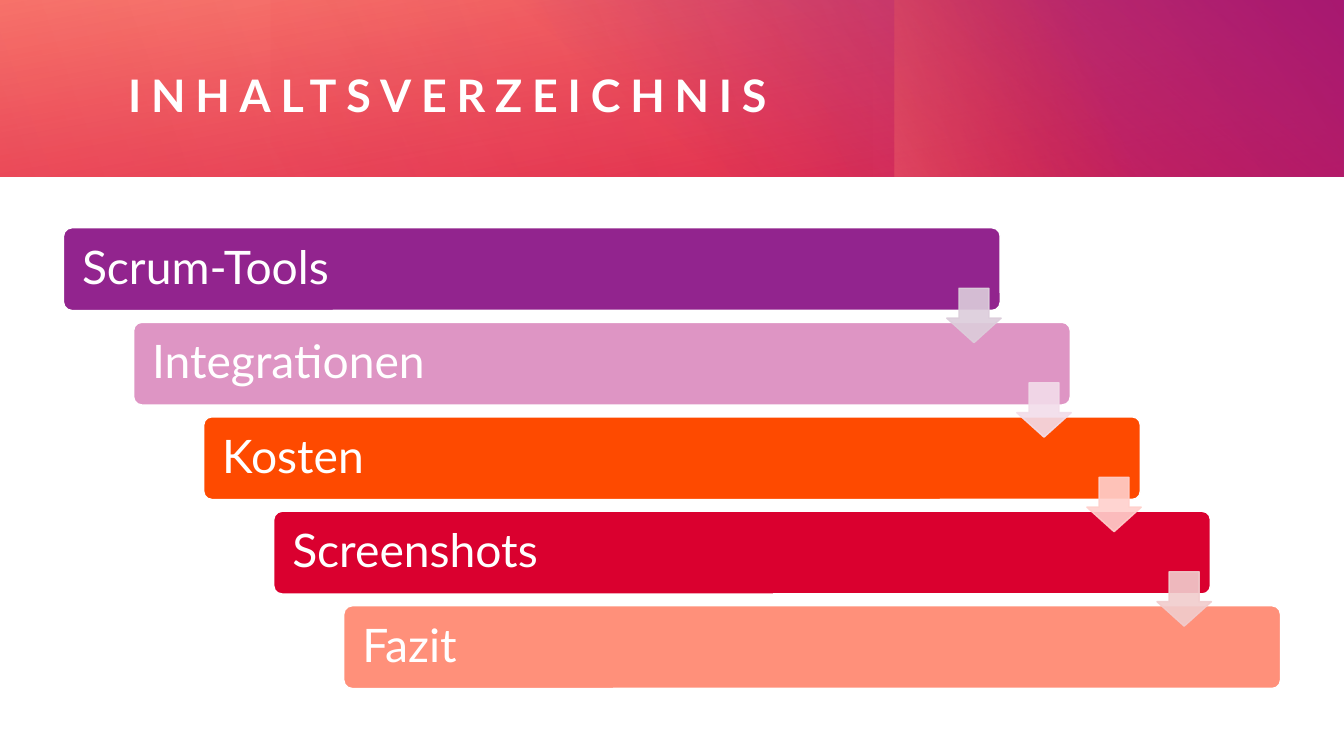
from collections import namedtuple
from dataclasses import dataclass

from lxml.etree import SubElement
from pptx import Presentation
from pptx.dml.color import RGBColor
from pptx.enum.shapes import MSO_SHAPE as Preset
from pptx.enum.text import MSO_ANCHOR as Anchor, PP_ALIGN as Align
from pptx.oxml.ns import qn
from pptx.util import Emu, Pt

PX = 9144  # 100 px to the inch
Box = namedtuple("Box", "left top width height")
Step = namedtuple("Step", "text color arrow")


@dataclass(frozen=True)
class Theme:
    font: str = "Lato"
    title_size: int = 32
    step_size: int = 33
    title_spacing: int = 700  # hundredths of a point
    white: str = "FFFFFF"
    purple: str = "92248E"
    pink: str = "DE95C4"
    orange: str = "FE4A00"
    red: str = "DA002F"
    coral: str = "FF907A"


THEME = Theme()
STEPS = [
    Step("Scrum-Tools", THEME.purple, "DCCDDB"),
    Step("Integrationen", THEME.pink, "F2DDEA"),
    Step("Kosten", THEME.orange, "FFD0CC"),
    Step("Screenshots", THEME.red, "F1CCCD"),
    Step("Fazit", THEME.coral, None),
]


def to_emu(px):
    return Emu(round(px * PX))


def rgb(color):
    return RGBColor.from_string(color)


def add_alpha(color_element, percent):
    SubElement(color_element, qn("a:alpha"), val=str(percent * 1000))


def add_preset(slide, preset, box):
    shape = slide.shapes.add_shape(preset, *map(to_emu, box))
    shape.shadow.inherit = False
    return shape


def add_run(paragraph, text, size, bold=False):
    run = paragraph.add_run()
    run.text = text
    run.font.name = THEME.font
    run.font.size = Pt(size)
    run.font.bold = bold
    run.font.color.rgb = rgb(THEME.white)
    return run


def set_margins(frame, side):
    frame.margin_left = frame.margin_right = to_emu(side)
    frame.margin_top = frame.margin_bottom = 0


def add_gradient(slide, box, stops, angle, rotation=0):
    """Rectangle with stops of (position, color, opacity), all in percent."""
    shape = add_preset(slide, Preset.RECTANGLE, box)
    shape.rotation = rotation
    shape.line.fill.background()
    shape.fill.gradient()
    gradient = shape._element.spPr.find(qn("a:gradFill"))
    for child in list(gradient):
        gradient.remove(child)
    gradient.set("rotWithShape", "1")
    stop_list = SubElement(gradient, qn("a:gsLst"))
    for position, color, opacity in stops:
        stop = SubElement(stop_list, qn("a:gs"), pos=str(position * 1000))
        color_element = SubElement(stop, qn("a:srgbClr"), val=color)
        if opacity < 100:
            add_alpha(color_element, opacity)
    SubElement(gradient, qn("a:lin"), ang=str(angle * 60000), scaled="0")


def add_header(slide, box):
    left, top, width, height = box
    right = left + width
    red, purple = THEME.red, THEME.purple

    # Layered colour washes
    add_gradient(slide, box, [(0, red, 83), (100, THEME.coral, 100)], 260)
    add_gradient(slide, Box(right - 852, top, 852, height),
                 [(22, purple, 0), (99, purple, 100)], 310)
    # This one is turned on its side, so its width is the band's height
    add_gradient(slide, Box(left + 987, top + (height - 374) / 2, height, 374),
                 [(45, THEME.orange, 0), (99, THEME.coral, 33)], 250, 270)
    add_gradient(slide, Box(right - 1065, top, 1064, height),
                 [(0, red, 30), (99, red, 0)], 330, 180)
    add_gradient(slide, Box(left, top, 865, height),
                 [(0, red, 21), (99, red, 0)], 340)

    # Title, brought in front of the washes
    title = slide.shapes.title
    title.left, title.top, title.width, title.height = map(
        to_emu, (left + 127, top + 41, 1135, 106))
    slide.shapes._spTree.append(title._element)
    frame = title.text_frame
    frame.vertical_anchor = Anchor.MIDDLE
    set_margins(frame, 0)
    paragraph = frame.paragraphs[0]
    paragraph.alignment = Align.LEFT
    run = add_run(paragraph, "INHALTSVERZEICHNIS", THEME.title_size, bold=True)
    run.font._element.set("spc", str(THEME.title_spacing))


def add_bar(slide, box, step):
    bar = add_preset(slide, Preset.ROUNDED_RECTANGLE, box)
    bar.adjustments[0] = 0.1
    bar.fill.solid()
    bar.fill.fore_color.rgb = rgb(step.color)
    bar.line.color.rgb = rgb(THEME.white)
    bar.line.width = Pt(1)
    frame = bar.text_frame
    frame.word_wrap = True
    frame.vertical_anchor = Anchor.MIDDLE
    set_margins(frame, 16)
    paragraph = frame.paragraphs[0]
    paragraph.alignment = Align.LEFT
    paragraph.line_spacing = 0.9
    add_run(paragraph, step.text, THEME.step_size)


def add_arrow(slide, box, color):
    arrow = add_preset(slide, Preset.DOWN_ARROW, box)
    arrow.adjustments[0] = 0.55
    arrow.adjustments[1] = 0.45
    arrow.fill.solid()
    arrow.fill.fore_color.rgb = rgb(color)
    arrow.line.color.rgb = rgb(color)
    arrow.line.width = Pt(1)
    for color_element in arrow._element.spPr.iter(qn("a:srgbClr")):
        add_alpha(color_element, 90)


def add_staircase(slide, box, steps):
    bar_width, bar_height, arrow_size = 929, 82, 54
    gaps = len(steps) - 1
    step_x = (box.width - bar_width) / gaps
    step_y = (box.height - bar_height) / gaps
    bars = [Box(box.left + i * step_x, box.top + i * step_y,
                bar_width, bar_height) for i in range(len(steps))]
    for bar, step in zip(bars, steps):
        add_bar(slide, bar, step)
    # Arrows lie over the bars, each leading to the next one
    for bar, step in zip(bars[:-1], steps):
        add_arrow(slide, Box(bar.left + 876, bar.top + 60,
                             arrow_size, arrow_size), step.arrow)


def main():
    presentation = Presentation()
    presentation.slide_width = to_emu(1333)
    presentation.slide_height = to_emu(750)
    slide = presentation.slides.add_slide(presentation.slide_layouts[5])
    add_header(slide, Box(0, 0, 1333, 175))
    add_staircase(slide, Box(63, 226, 1207, 457), STEPS)
    presentation.save("out.pptx")


if __name__ == "__main__":
    main()
